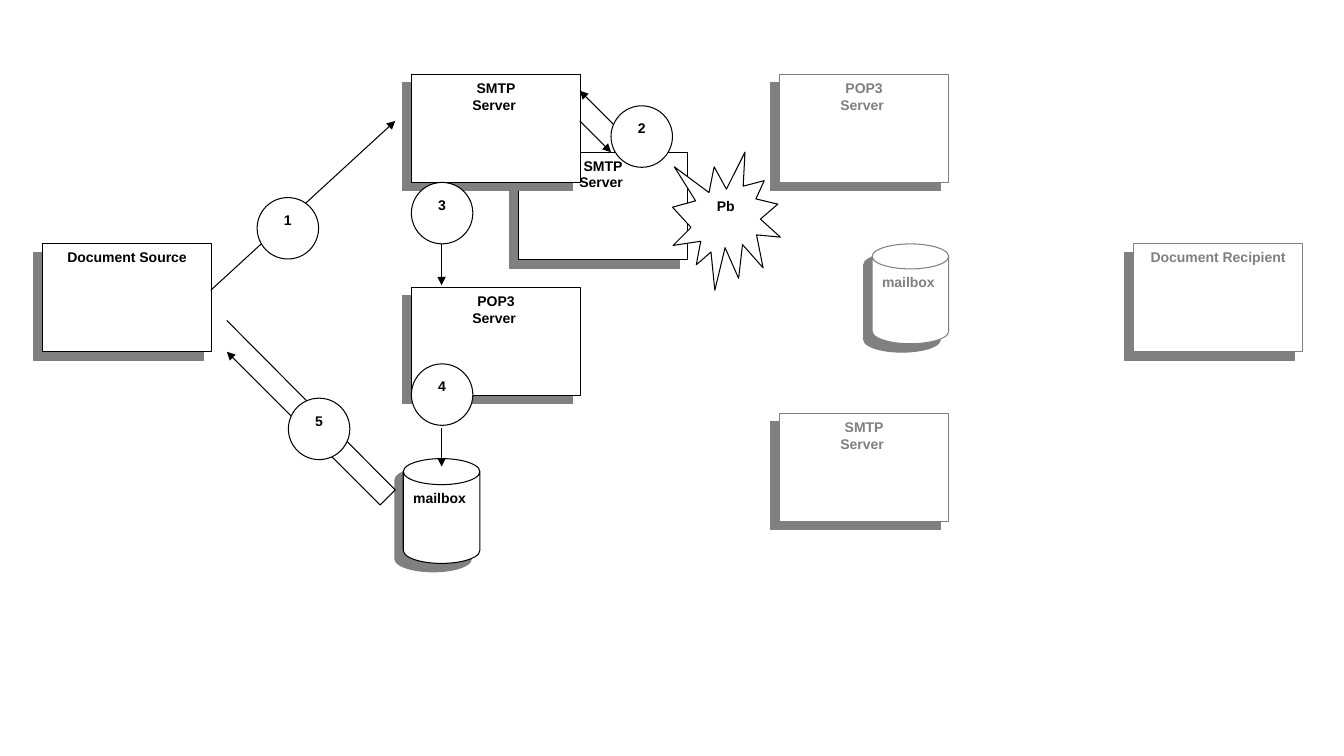
from dataclasses import dataclass
from functools import partial

import pptx
import pptx.dml.color
import pptx.enum.shapes
import pptx.enum.text
import pptx.oxml
import pptx.oxml.ns
import pptx.shapes.base
import pptx.shapes.connector
import pptx.slide
import pptx.util
from lxml import etree

EMU_PER_PX = 9144  # 100 px to the inch
SLIDE_WIDTH, SLIDE_HEIGHT = 1333, 750
COLOURS = {"paper": "FFFFFF", "active": "000000", "idle": "808080", "shadow": "808080"}
SHADOW_DISTANCE = pptx.util.Pt(8.5)
SHADOW_ANGLE = 135 * 60000
LINE_WIDTH = pptx.util.Pt(0.75)

SHAPES = pptx.enum.shapes.MSO_SHAPE
ALIGN = pptx.enum.text.PP_ALIGN


@dataclass(frozen=True)
class Node:
    kind: SHAPES
    left: int
    top: int
    width: int
    height: int
    lines: tuple[str, ...]
    colour: str = "active"
    shadow: bool = False
    align: ALIGN = ALIGN.CENTER
    rim: float | None = None


@dataclass(frozen=True)
class Link:
    start: tuple[int, int]
    end: tuple[int, int]
    arrow: bool = True


Station = partial(Node, SHAPES.RECTANGLE, width=168, height=107, shadow=True)
Mailbox = partial(Node, SHAPES.CAN, width=76, lines=("mailbox",), shadow=True, align=ALIGN.LEFT)
Step = partial(Node, SHAPES.OVAL, width=61, height=61)

SMTP = ("SMTP", "Server ")
POP3 = ("POP3", "Server ")

# From back to front
DIAGRAM: list[Node | Link] = [
    Station(left=514, top=151, lines=SMTP),
    Station(left=42, top=242, lines=("Document Source",)),
    Station(left=1124, top=242, lines=("Document Recipient",), colour="idle"),
    Station(left=408, top=74, lines=SMTP),
    Station(left=773, top=74, lines=POP3, colour="idle"),
    Mailbox(left=865, top=242, height=99, colour="idle", rim=0.326),
    Link((209, 288), (392, 120)),
    Link((575, 120), (606, 151)),
    Step(left=255, top=196, lines=("1",)),
    Node(SHAPES.EXPLOSION1, 667, 151, 107, 137, ("Pb",)),
    Link((636, 151), (575, 90)),
    Link((438, 196), (438, 283)),
    Step(left=606, top=105, lines=("2",)),
    Step(left=408, top=181, lines=("3",)),
    Station(left=408, top=285, lines=POP3),
    Mailbox(left=400, top=455, height=104, rim=0.34),
    Link((225, 318), (392, 486), arrow=False),
    Link((392, 486), (377, 501), arrow=False),
    Link((377, 501), (225, 349)),
    Step(left=286, top=395, lines=("5",)),
    Link((438, 425), (438, 463)),
    Station(left=773, top=410, lines=SMTP, colour="idle"),
    Step(left=408, top=361, lines=("4",)),
]


def px(length: int) -> pptx.util.Emu:
    return pptx.util.Emu(length * EMU_PER_PX)


def rgb(name: str) -> pptx.dml.color.RGBColor:
    return pptx.dml.color.RGBColor.from_string(COLOURS[name])


def set_line(shape: pptx.shapes.base.BaseShape, colour: str) -> None:
    shape.line.color.rgb = rgb(colour)
    shape.line.width = LINE_WIDTH


def add_hard_shadow(shape: pptx.shapes.base.BaseShape) -> None:
    """Cast an unblurred shadow to the lower left."""
    qn = pptx.oxml.ns.qn
    effects = shape.element.spPr.find(qn("a:effectLst"))
    shadow = etree.SubElement(
        effects, qn("a:outerShdw"), blurRad="0", dist=str(int(SHADOW_DISTANCE)),
        dir=str(SHADOW_ANGLE), algn="ctr", rotWithShape="0")
    etree.SubElement(shadow, qn("a:srgbClr"), val=COLOURS["shadow"])


def draw_node(slide: pptx.slide.Slide, node: Node) -> None:
    shape = slide.shapes.add_shape(
        node.kind, px(node.left), px(node.top), px(node.width), px(node.height))
    if node.rim is not None:
        shape.adjustments[0] = node.rim
    shape.fill.solid()
    shape.fill.fore_color.rgb = rgb("paper")
    set_line(shape, node.colour)
    shape.shadow.inherit = False
    if node.shadow:
        add_hard_shadow(shape)

    frame = shape.text_frame
    frame.word_wrap = True
    frame.vertical_anchor = pptx.enum.text.MSO_ANCHOR.TOP
    for index, line in enumerate(node.lines):
        paragraph = frame.add_paragraph() if index else frame.paragraphs[0]
        paragraph.alignment = node.align
        run = paragraph.add_run()
        run.text = line
        run.font.name = "Arial"
        run.font.size = pptx.util.Pt(10)
        run.font.bold = True
        run.font.color.rgb = rgb(node.colour)


def draw_link(slide: pptx.slide.Slide, link: Link) -> None:
    connector = slide.shapes.add_connector(
        pptx.enum.shapes.MSO_CONNECTOR.STRAIGHT, *map(px, link.start + link.end))
    set_line(connector, "active")
    qn = pptx.oxml.ns.qn
    properties = connector.element.spPr
    if link.arrow:
        etree.SubElement(properties.find(qn("a:ln")), qn("a:tailEnd"), type="triangle")
    etree.SubElement(properties, qn("a:effectLst"))


def main() -> None:
    presentation = pptx.Presentation()
    presentation.slide_width = px(SLIDE_WIDTH)
    presentation.slide_height = px(SLIDE_HEIGHT)
    slide = presentation.slides.add_slide(presentation.slide_layouts[6])
    for item in DIAGRAM:
        if isinstance(item, Node):
            draw_node(slide, item)
        else:
            draw_link(slide, item)
    presentation.save("out.pptx")


if __name__ == "__main__":
    main()
